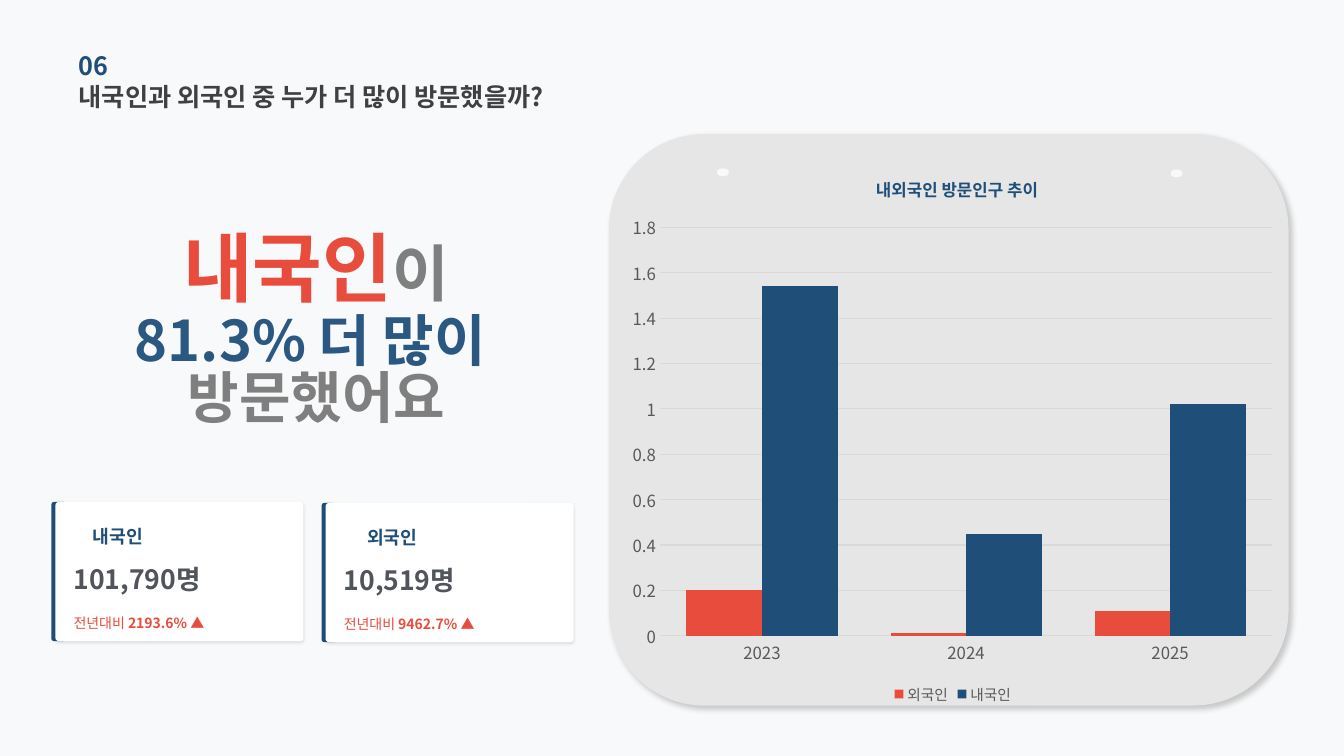
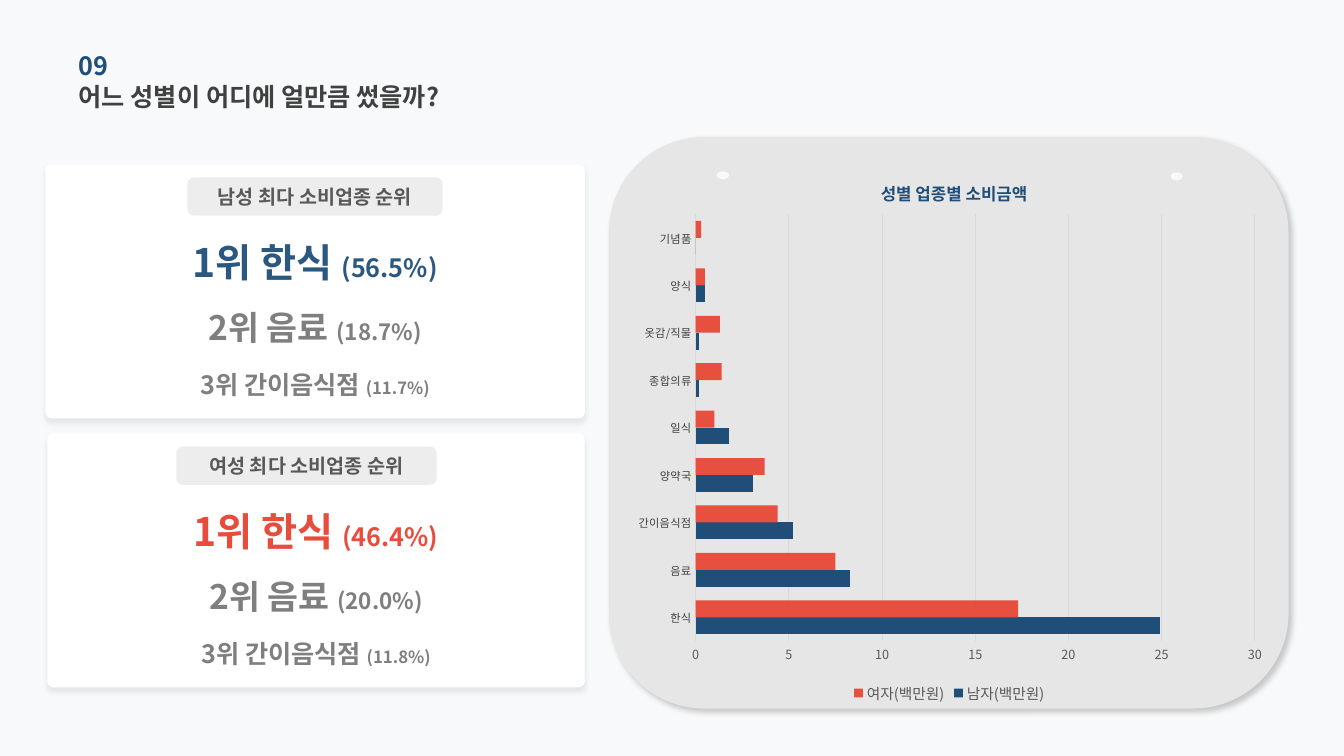
from dataclasses import dataclass
from typing import Any

from lxml import etree
from pptx import Presentation
from pptx import util as u
from pptx.chart.data import CategoryChartData
from pptx.dml.color import RGBColor
from pptx.enum import chart as charts, shapes, text
from pptx.oxml.ns import qn


@dataclass(frozen=True)
class Theme:
    font: str = "Noto Sans CJK KR"
    # Colours
    page: str = "F8F9FA"
    board: str = "E7E6E6"
    white: str = "FFFFFF"
    badge: str = "D0CECE"
    navy: str = "1F4E79"
    blue: str = "2B5880"
    red: str = "E74C3C"
    ink: str = "404040"
    figure: str = "51545A"
    label: str = "595959"
    gray: str = "7F7F7F"
    rule: str = "D9D9D9"
    # Type sizes
    title: float = 18
    hero: float = 54
    hero_particle: float = 44
    statement: float = 40
    card_value: float = 19
    card_label: float = 13
    small: float = 10
    legend: float = 10.5
    chart_title: float = 12
    badge_text: float = 14
    ranks: tuple = ((28, 18), (24, 16), (18, 12))
    # Shadows: opacity, blur, distance, direction
    board_shadow: tuple = (20, 4, 3, 45)
    card_shadow: tuple = (10, 2, 1, 90)
    panel_shadow: tuple = (8, 4, 3, 90)


THEME = Theme()
RECT = shapes.MSO_SHAPE.ROUNDED_RECTANGLE
SOFT_CORNER = 0.023


def style_font(font, size, color, bold=False):
    font.size = u.Pt(size)
    font.bold = bold
    font.color.rgb = RGBColor.from_string(color)
    font.name = THEME.font
    latin = font._element.find(".//" + qn("a:latin"))
    east_asian = etree.Element(qn("a:ea"), typeface=THEME.font)
    latin.addnext(east_asian)


def paint(fill, color, opacity=None):
    fill.solid()
    fill.fore_color.rgb = RGBColor.from_string(color)
    if opacity is not None:
        swatch = fill._xPr.find(".//" + qn("a:srgbClr"))
        etree.SubElement(swatch, qn("a:alpha"), val=str(opacity * 1000))


def place_manually(owner, **spots):
    """Give a chart part a manual layout in fractions of the chart."""
    layout = owner.find(qn("c:layout"))
    if layout is None:
        layout = etree.Element(qn("c:layout"))
        before = owner.find(qn("c:tx"))
        if before is not None:
            before.addnext(layout)
        else:
            owner.insert(0, layout)
    manual = etree.SubElement(layout, qn("c:manualLayout"))
    if "w" in spots:
        etree.SubElement(manual, qn("c:layoutTarget"), val="inner")
    for side in "xy":
        etree.SubElement(manual, qn(f"c:{side}Mode"), val="edge")
    for side, share in spots.items():
        etree.SubElement(manual, qn(f"c:{side}"), val=str(share))


@dataclass
class Builder:
    deck: Any
    page: Any = None

    def start_page(self, number, question):
        layout = self.deck.slide_layouts.get_by_name("Title Only")
        self.page = self.deck.slides.add_slide(layout)
        title = self.page.shapes.title
        title.left, title.top = u.Inches(0.78), u.Inches(0.75)
        title.width, title.height = u.Inches(5.28), u.Inches(0.41)
        self.set_text(title, [[(question, None, None)]], THEME.title, THEME.ink)
        self.line((0.78, 0.44, 4.52, 0.41), number, THEME.title, THEME.navy)

    def shape(self, at, color, kind=RECT, corner=None, shadow=None, opacity=None):
        box = self.page.shapes.add_shape(kind, *map(u.Inches, at))
        paint(box.fill, color, opacity)
        box.line.fill.background()
        box.shadow.inherit = False
        if corner is not None:
            box.adjustments[0] = corner
        if shadow:
            alpha, blur, distance, angle = shadow
            effects = box._element.spPr.find(qn("a:effectLst"))
            outer = etree.SubElement(
                effects, qn("a:outerShdw"), blurRad=str(u.Pt(blur)),
                dist=str(u.Pt(distance)), dir=str(angle * 60000),
                algn="tl", rotWithShape="0")
            tint = etree.SubElement(outer, qn("a:srgbClr"), val="000000")
            etree.SubElement(tint, qn("a:alpha"), val=str(alpha * 1000))
        return box

    def set_text(self, box, paragraphs, size, color, bold=True,
                 align=text.PP_ALIGN.LEFT, spacing=None):
        """Each paragraph is a list of (words, size, colour or bold change)."""
        frame = box.text_frame
        frame.word_wrap = True
        frame.auto_size = text.MSO_AUTO_SIZE.NONE
        frame.vertical_anchor = text.MSO_ANCHOR.MIDDLE
        frame.margin_left = frame.margin_right = 0
        frame.margin_top = frame.margin_bottom = 0
        for index, spans in enumerate(paragraphs):
            para = frame.add_paragraph() if index else frame.paragraphs[0]
            para.alignment = align
            if spacing:
                para.line_spacing = spacing
            style_font(para.font, size, color, bold)
            for words, own_size, change in spans:
                span = para.add_run()
                span.text = words
                if own_size:
                    span.font.size = u.Pt(own_size)
                if isinstance(change, bool):
                    span.font.bold = change
                elif change:
                    span.font.color.rgb = RGBColor.from_string(change)

    def text(self, at, paragraphs, size, color, **options):
        box = self.page.shapes.add_textbox(*map(u.Inches, at))
        self.set_text(box, paragraphs, size, color, **options)

    def line(self, at, words, size, color, **options):
        self.text(at, [[(words, None, None)]], size, color, **options)

    def board(self, top):
        self.shape((6.04, top, 6.74, 5.67), THEME.board, shadow=THEME.board_shadow)
        for left, drop in ((7.11, 0.34), (11.61, 0.35)):
            self.shape((left, top + drop, 0.12, 0.08), THEME.page,
                       shapes.MSO_SHAPE.OVAL)

    def card(self, left, top, indent, label, value, change):
        self.shape((left - 0.04, top, 0.15, 1.38), THEME.navy)
        self.shape((left, top, 2.46, 1.38), THEME.white, corner=SOFT_CORNER,
                   shadow=THEME.card_shadow)
        self.line((left + indent, top + 0.2, 0.65, 0.28), label,
                  THEME.card_label, THEME.navy)
        self.line((left + 0.18, top + 0.57, 2.5, 0.39), value,
                  THEME.card_value, THEME.figure)
        self.text((left + 0.18, top + 0.97, 2.5, 0.45),
                  [[("전년대비 ", None, None), (change, None, True)]],
                  THEME.small, THEME.red, bold=False)

    def ranking(self, at, badge_left, badge_width, heading, accent, ranks):
        left, top, width, _ = at
        self.shape(at, THEME.white, corner=SOFT_CORNER, shadow=THEME.panel_shadow)
        badge = self.shape((badge_left, top + 0.13, badge_width, 0.38),
                           THEME.badge, opacity=36)
        self.set_text(badge, [[(heading, None, None)]], THEME.badge_text,
                      THEME.label, align=text.PP_ALIGN.CENTER)
        rows = zip(ranks, THEME.ranks, (accent, THEME.gray, THEME.gray),
                   (0.55, 1.19, 1.76))
        for (name, share), (size, share_size), color, drop in rows:
            self.text((left, top + drop, width, 0.84),
                      [[(name + " ", None, None), (share, share_size, None)]],
                      size, color, align=text.PP_ALIGN.CENTER)

    def chart(self, kind, at, title, title_x, categories, series, plot_spots,
              top_value, step, gap, category_type, value_type):
        data = CategoryChartData()
        data.categories = categories
        for name, values, *_ in series:
            data.add_series(name, values)
        chart = self.page.shapes.add_chart(kind, *map(u.Inches, at), data).chart
        style_font(chart.font, THEME.small, THEME.label)
        # Title and legend
        chart.has_title = True
        heading = chart.chart_title
        para = heading.text_frame.paragraphs[0]
        style_font(para.font, THEME.chart_title, THEME.navy, True)
        para.add_run().text = title
        place_manually(heading._element, x=title_x, y=0.04)
        chart.has_legend = True
        chart.legend.position = charts.XL_LEGEND_POSITION.BOTTOM
        chart.legend.include_in_layout = False
        style_font(chart.legend.font, THEME.legend, THEME.label)
        # Axes
        for axis, (size, color) in ((chart.category_axis, category_type),
                                    (chart.value_axis, value_type)):
            axis.major_tick_mark = axis.minor_tick_mark = charts.XL_TICK_MARK.NONE
            style_font(axis.tick_labels.font, size, color)
        scale = chart.value_axis
        scale.minimum_scale, scale.maximum_scale = 0, top_value
        scale.major_unit = step
        scale.format.line.fill.background()
        for rule in (chart.category_axis.format.line,
                     scale.major_gridlines.format.line):
            rule.width = u.Pt(0.75)
            rule.color.rgb = RGBColor.from_string(THEME.rule)
        # Bars
        plot = chart.plots[0]
        plot.gap_width, plot.overlap = gap, 0
        plot.vary_by_categories = False
        for bars, (_, _, color, opacity) in zip(plot.series, series):
            bars.invert_if_negative = False
            paint(bars.format.fill, color, opacity)
        place_manually(chart._chartSpace.chart.plotArea, **plot_spots)


def visitors(builder):
    builder.start_page("06", "내국인과 외국인 중 누가 더 많이 방문했을까?")
    builder.board(1.33)
    # Key message
    center = text.PP_ALIGN.CENTER
    builder.text((0.99, 2.4, 4.29, 0.48),
                 [[("내국인", None, None), ("이", THEME.hero_particle, THEME.gray)]],
                 THEME.hero, THEME.red, align=center)
    builder.text((0.38, 3.28, 5.52, 0.84),
                 [[("81.3% 더 많이 ", None, None)],
                  [("방문했어요", None, THEME.gray)]],
                 THEME.statement, THEME.blue, align=center, spacing=0.84)
    # Visitor cards
    builder.card(0.55, 4.98, 0.37, "내국인", "101,790명", "2193.6% ▲")
    builder.card(3.23, 4.99, 0.41, "외국인", "10,519명", "9462.7% ▲")
    builder.chart(
        charts.XL_CHART_TYPE.COLUMN_CLUSTERED, (6.15, 1.48, 6.6, 5.55),
        "내외국인 방문인구 추이", 0.38, ["2023", "2024", "2025"],
        [("외국인", (0.2, 0.01, 0.11), THEME.red, None),
         ("내국인", (1.54, 0.45, 1.02), THEME.navy, None)],
        dict(x=0.06, y=0.14, w=0.92, h=0.73), 1.8, 0.2, 70,
        (12, THEME.label), (12, THEME.label))


def spending(builder):
    builder.start_page("09", "어느 성별이 어디에 얼만큼 썼을까?")
    builder.board(1.36)
    # Rankings
    builder.ranking((0.45, 1.63, 5.35, 2.52), 1.86, 2.53,
                    "남성 최다 소비업종 순위", THEME.blue,
                    [("1위 한식", "(56.5%)"), ("2위 음료", "(18.7%)"),
                     ("3위 간이음식점", "(11.7%)")])
    builder.ranking((0.47, 4.3, 5.33, 2.52), 1.75, 2.58,
                    "여성 최다 소비업종 순위", THEME.red,
                    [("1위 한식", "(46.4%)"), ("2위 음료", "(20.0%)"),
                     ("3위 간이음식점", "(11.8%)")])
    builder.chart(
        charts.XL_CHART_TYPE.BAR_CLUSTERED, (6.19, 1.52, 6.45, 5.5),
        "성별 업종별 소비금액", 0.39,
        ["한식", "음료", "간이음식점", "양약국", "일식", "종합의류",
         "옷감/직물", "양식", "기념품"],
        [("남자(백만원)", (24.9, 8.3, 5.2, 3.1, 1.8, 0.2, 0.2, 0.5, 0),
          THEME.navy, None),
         ("여자(백만원)", (17.3, 7.5, 4.4, 3.7, 1, 1.4, 1.3, 0.5, 0.3),
          THEME.red, 98)],
        dict(x=0.11, y=0.11, w=0.86, h=0.77), 30, 5, 80,
        (8, THEME.ink), (9, THEME.label))


def main():
    deck = Presentation()
    deck.slide_width, deck.slide_height = u.Inches(13.33), u.Inches(7.5)
    paint(deck.slide_master.background.fill, THEME.page)
    builder = Builder(deck)
    visitors(builder)
    spending(builder)
    deck.save("out.pptx")


if __name__ == "__main__":
    main()
